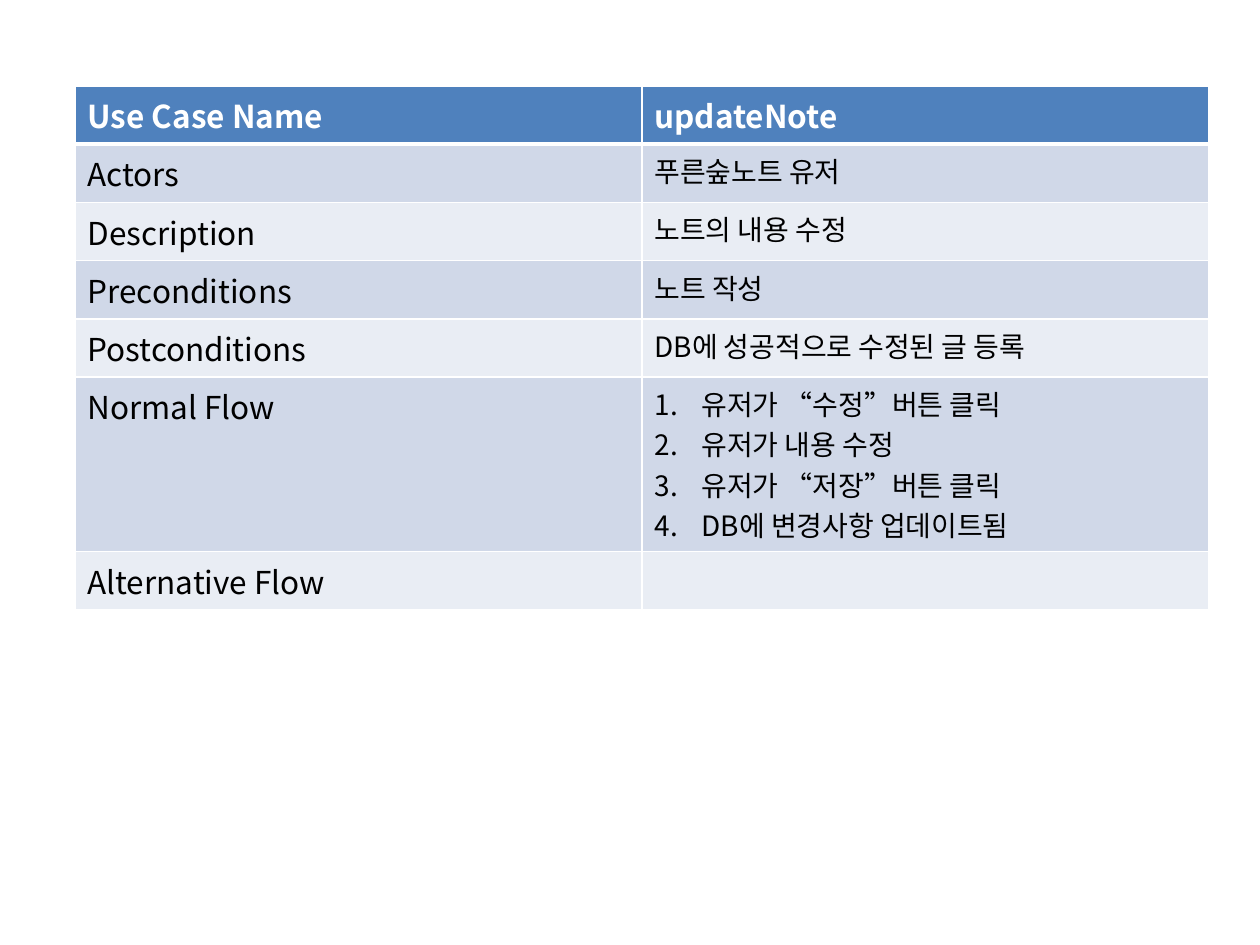
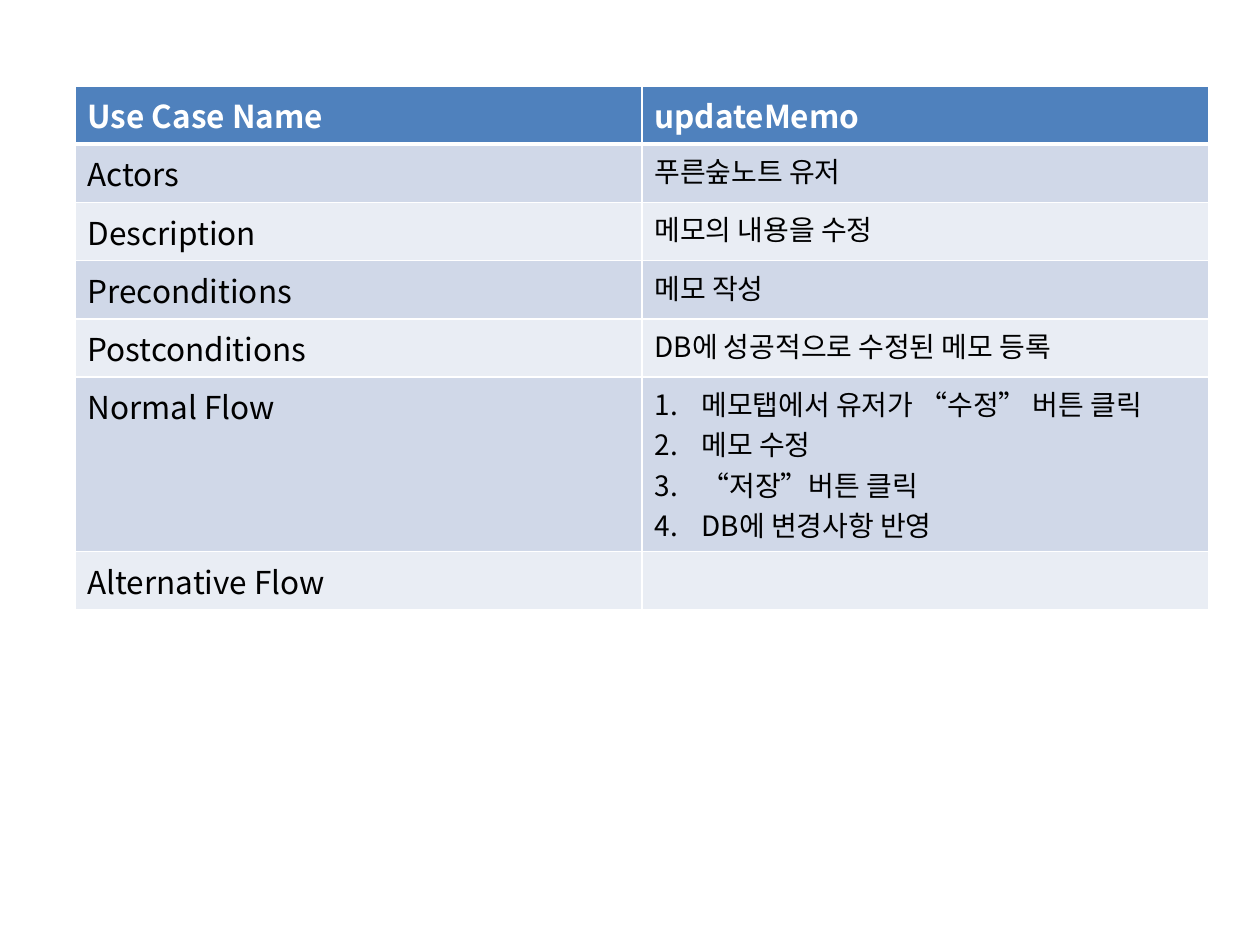
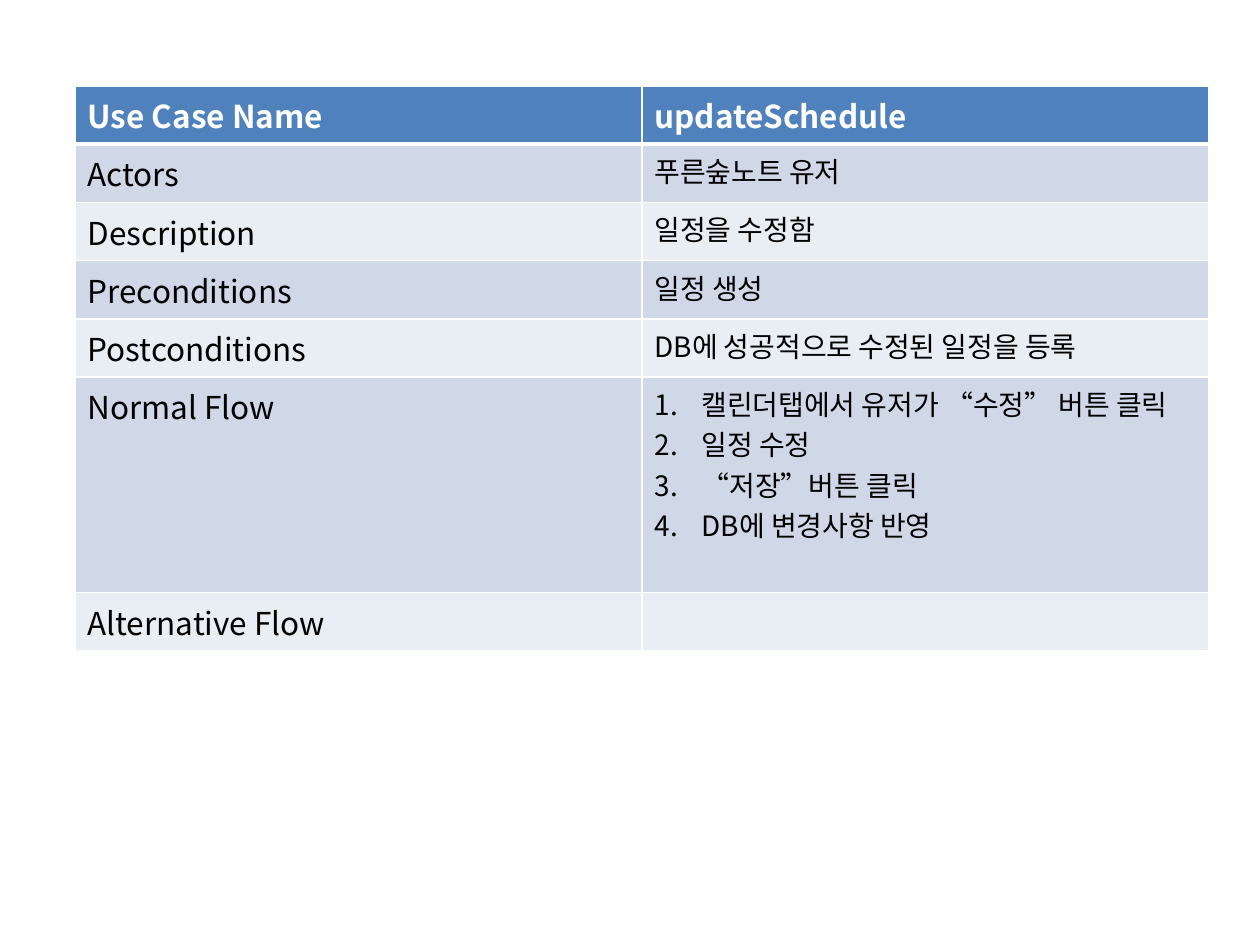
"""Builds three use case tables, one to a slide."""
from lxml.etree import SubElement as Sub
from pptx import Presentation as Deck
from pptx.dml.color import RGBColor as RGB
from pptx.oxml import parse_xml
from pptx.oxml.ns import nsdecls, qn
from pptx.util import Cm, Pt

WHITE = RGB(0xFF, 0xFF, 0xFF)
BLACK = RGB(0x00, 0x00, 0x00)
BLUE = RGB(0x4F, 0x81, 0xBD)
BANDS = [RGB(0xE9, 0xED, 0xF4), RGB(0xD0, 0xD8, 0xE8)]
FONT = "Noto Sans CJK KR"
LABELS = ["Use Case Name", "Actors", "Description", "Preconditions",
          "Postconditions", "Normal Flow", "Alternative Flow"]
ACTOR = "푸른숲노트 유저"
CASES = [
    (["updateNote", ACTOR, "노트의 내용 수정", "노트 작성",
      "DB에 성공적으로 수정된 글 등록",
      ["유저가 “수정”버튼 클릭", "유저가 내용 수정",
       "유저가 “저장”버튼 클릭", "DB에 변경사항 업데이트됨"], ""], 3.52),
    (["updateMemo", ACTOR, "메모의 내용을 수정", "메모 작성",
      "DB에 성공적으로 수정된 메모 등록",
      ["메모탭에서 유저가 “수정” 버튼 클릭", "메모 수정",
       "“저장”버튼 클릭", "DB에 변경사항 반영"], ""], 3.52),
    (["updateSchedule", ACTOR, "일정을 수정함", "일정 생성",
      "DB에 성공적으로 수정된 일정을 등록",
      ["캘린더탭에서 유저가 “수정” 버튼 클릭", "일정 수정",
       "“저장”버튼 클릭", "DB에 변경사항 반영"], ""], 4.34),
]


class Page:
    """Holds the style and the current slide."""

    head = {"size": Pt(18), "bold": True, "name": FONT}
    label = {"size": Pt(18), "bold": False, "name": FONT}
    body = {"size": Pt(16), "bold": False, "name": FONT}
    left, top, wide, high = Cm(1.51), Cm(1.73), Cm(11.43), Cm(1.17)

    def __init__(self, deck):
        """Adds a blank slide."""
        self.slide = deck.slides.add_slide(deck.slide_layouts[6])

    def text(self, para, words, style, color):
        """Writes one styled run."""
        run = para.add_run()
        run.text = words
        for key, value in style.items():
            setattr(run.font, key, value)
        run.font.color.rgb = color
        Sub(run.font._element, qn("a:ea"), typeface=FONT)

    def number(self, para):
        """Numbers a paragraph with a hanging indent."""
        props = para._p.get_or_add_pPr()
        props.set("marL", str(Cm(0.95)))
        props.set("indent", str(-Cm(0.95)))
        Sub(props, qn("a:buFont"), typeface="+mj-lt")
        Sub(props, qn("a:buAutoNum"), type="arabicPeriod")

    def edges(self, cell, row):
        """Draws white borders, thick below the header."""
        props = cell._tc.get_or_add_tcPr()
        sizes = {"L": 1, "R": 1, "T": 3 if row == 1 else 1, "B": 1 if row else 3}
        for spot, (side, size) in enumerate(sizes.items()):
            props.insert(spot, parse_xml(
                f'<a:ln{side} {nsdecls("a")} w="{Pt(size)}"><a:solidFill>'
                f'<a:srgbClr val="{WHITE}"/></a:solidFill></a:ln{side}>'))

    def cell(self, cell, row, words, style):
        """Fills one cell with plain text or a numbered list."""
        cell.fill.solid()
        cell.fill.fore_color.rgb = BANDS[row % 2] if row else BLUE
        self.edges(cell, row)
        steps = isinstance(words, list)
        frame = cell.text_frame
        for spot, line in enumerate(words if steps else [words]):
            para = frame.add_paragraph() if spot else frame.paragraphs[0]
            if steps:
                self.number(para)
            if line:
                self.text(para, line, style, BLACK if row else WHITE)

    def table(self, values, flow):
        """Adds the use case table."""
        count = len(LABELS)
        grid = self.slide.shapes.add_table(
            count, 2, self.left, self.top, self.wide * 2,
            self.high * (count - 1) + flow).table
        for col in grid.columns:
            col.width = self.wide
        for row, (label, value) in enumerate(zip(LABELS, values)):
            grid.rows[row].height = flow if label == "Normal Flow" else self.high
            self.cell(grid.cell(row, 0), row, label, self.label if row else self.head)
            self.cell(grid.cell(row, 1), row, value, self.body if row else self.head)


deck = Deck()
deck.slide_width, deck.slide_height = Cm(25.4), Cm(19.05)
for values, flow in CASES:
    Page(deck).table(values, Cm(flow))
deck.save("out.pptx")
